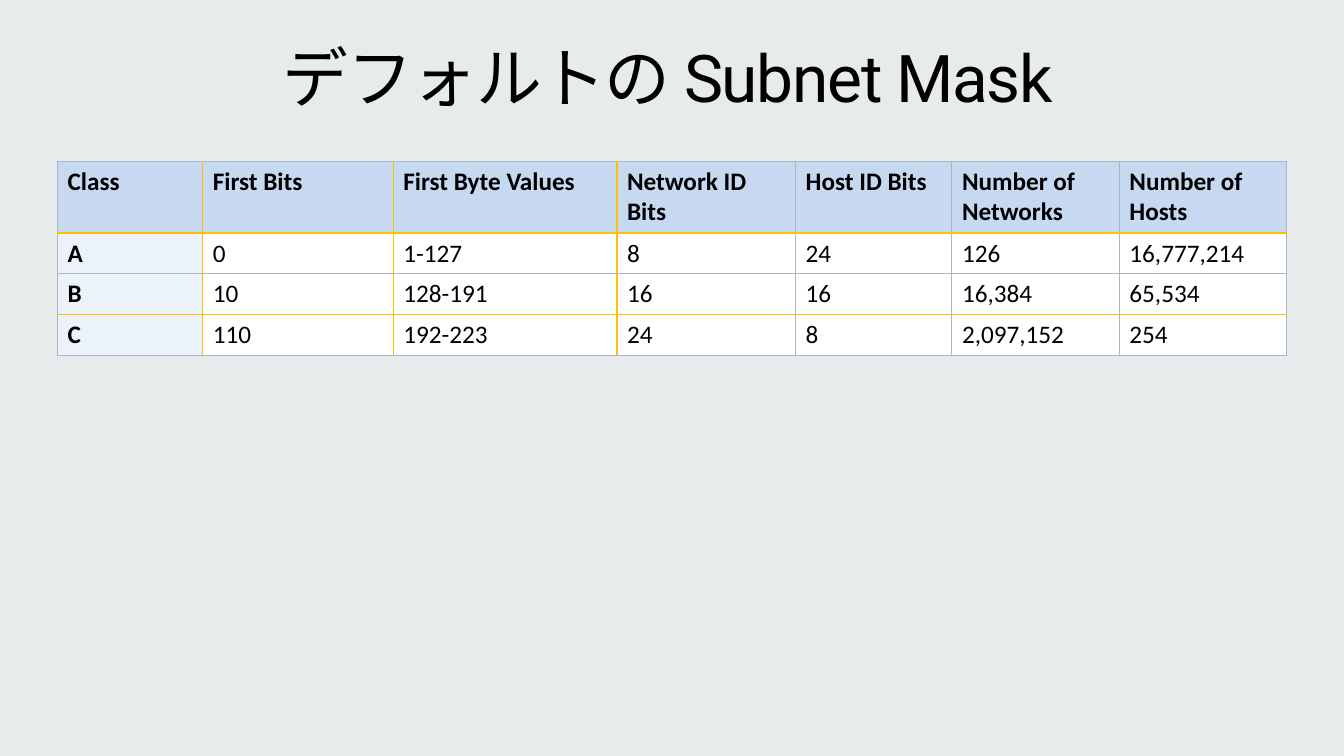
from typing import NamedTuple

from lxml.etree import SubElement
from pptx import Presentation
from pptx.dml.color import RGBColor
from pptx.enum.text import MSO_ANCHOR, PP_ALIGN
from pptx.oxml.ns import qn
from pptx.slide import Slide
from pptx.table import Table, _Cell
from pptx.util import Cm, Pt

BLACK = "000000"
HEADER_FILL = "C6D9F1"
CLASS_FILL = "ECF2FA"
BODY_FILL = "FFFFFF"
HANGING_INDENT = Cm(0.64)


class Border(NamedTuple):
    color: str
    points: float


GOLD = Border("FFC000", 1)
HEADER_RULE = Border("FFC000", 1.5)
GRAY = Border("A9B8C6", 0.75)

VERTICAL_BORDERS = [GRAY, GOLD, GOLD, GOLD, GRAY, GRAY, GRAY, GRAY]
HORIZONTAL_BORDERS = [GRAY, HEADER_RULE, GRAY, GOLD, GRAY]


class Column(NamedTuple):
    heading: str
    width: float
    values: tuple[str, str, str]
    indented_heading: bool = False


COLUMNS = [
    Column("Class", 3.66, ("A", "B", "C"), True),
    Column("First Bits", 4.8, ("0", "10", "110"), True),
    Column("First Byte Values", 5.64, ("1-127", "128-191", "192-223")),
    Column("Network ID Bits", 4.5, ("8", "16", "24")),
    Column("Host ID Bits", 3.94, ("24", "16", "8")),
    Column("Number of Networks", 4.22, ("126", "16,384", "2,097,152")),
    Column("Number of Hosts", 4.22, ("16,777,214", "65,534", "254")),
]
ROW_HEIGHTS = [1.81, 1.03, 1.03, 1.03]


def rgb(color: str) -> RGBColor:
    return RGBColor.from_string(color)


def add_title(slide: Slide) -> None:
    title = slide.shapes.title
    title.left, title.top = Cm(0.76), Cm(0.81)
    title.width, title.height = Cm(32.51), Cm(2.49)
    text_frame = title.text_frame
    text_frame.text = "デフォルトの Subnet Mask "
    text_frame.word_wrap = True
    text_frame.vertical_anchor = MSO_ANCHOR.MIDDLE
    text_frame.margin_left = text_frame.margin_right = Cm(0.41)
    text_frame.margin_top = text_frame.margin_bottom = Cm(0.25)
    paragraph = text_frame.paragraphs[0]
    paragraph.alignment = PP_ALIGN.CENTER
    paragraph.line_spacing = 0.9
    run = paragraph.runs[0]
    run.font.name = "Roboto"
    run.font.size = Pt(47)
    run.font.color.rgb = rgb(BLACK)
    run.font._element.set("spc", "-100")


def set_borders(cell: _Cell, row: int, column: int) -> None:
    """Draw the four grid lines around a cell; call before filling it."""
    properties = cell._tc.get_or_add_tcPr()
    sides = {
        "a:lnL": VERTICAL_BORDERS[column],
        "a:lnR": VERTICAL_BORDERS[column + 1],
        "a:lnT": HORIZONTAL_BORDERS[row],
        "a:lnB": HORIZONTAL_BORDERS[row + 1],
    }
    for tag, border in sides.items():
        line = SubElement(properties, qn(tag), w=str(Pt(border.points)))
        fill = SubElement(line, qn("a:solidFill"))
        SubElement(fill, qn("a:srgbClr"), val=border.color)


def write_cell(cell: _Cell, text: str, fill: str, bold: bool, indented: bool) -> None:
    cell.fill.solid()
    cell.fill.fore_color.rgb = rgb(fill)
    cell.text_frame.text = text
    paragraph = cell.text_frame.paragraphs[0]
    if indented:
        properties = paragraph._p.get_or_add_pPr()
        properties.set("marL", str(HANGING_INDENT))
        properties.set("indent", str(-HANGING_INDENT))
    font = paragraph.runs[0].font
    font.name = "Calibri"
    font.size = Pt(18)
    font.bold = bold
    font.color.rgb = rgb(BLACK)


def fill_table(table: Table) -> None:
    table.horz_banding = False
    for row, height in zip(table.rows, ROW_HEIGHTS):
        row.height = Cm(height)
    for column_index, column in enumerate(COLUMNS):
        table.columns[column_index].width = Cm(column.width)
        for row_index, text in enumerate((column.heading, *column.values)):
            is_header = row_index == 0
            is_class = column_index == 0
            fill = HEADER_FILL if is_header else CLASS_FILL if is_class else BODY_FILL
            cell = table.cell(row_index, column_index)
            set_borders(cell, row_index, column_index)
            write_cell(cell, text, fill, is_header or is_class,
                       column.indented_heading or not is_header)


def main() -> None:
    presentation = Presentation()
    presentation.slide_width = Cm(33.87)
    presentation.slide_height = Cm(19.05)
    slide = presentation.slides.add_slide(presentation.slide_layouts[5])
    slide.background.fill.solid()
    slide.background.fill.fore_color.rgb = rgb("E7EBEC")
    frame = slide.shapes.add_table(
        len(ROW_HEIGHTS), len(COLUMNS), Cm(1.45), Cm(4.06),
        Cm(sum(column.width for column in COLUMNS)), Cm(sum(ROW_HEIGHTS)))
    fill_table(frame.table)
    add_title(slide)
    presentation.save("out.pptx")


if __name__ == "__main__":
    main()
